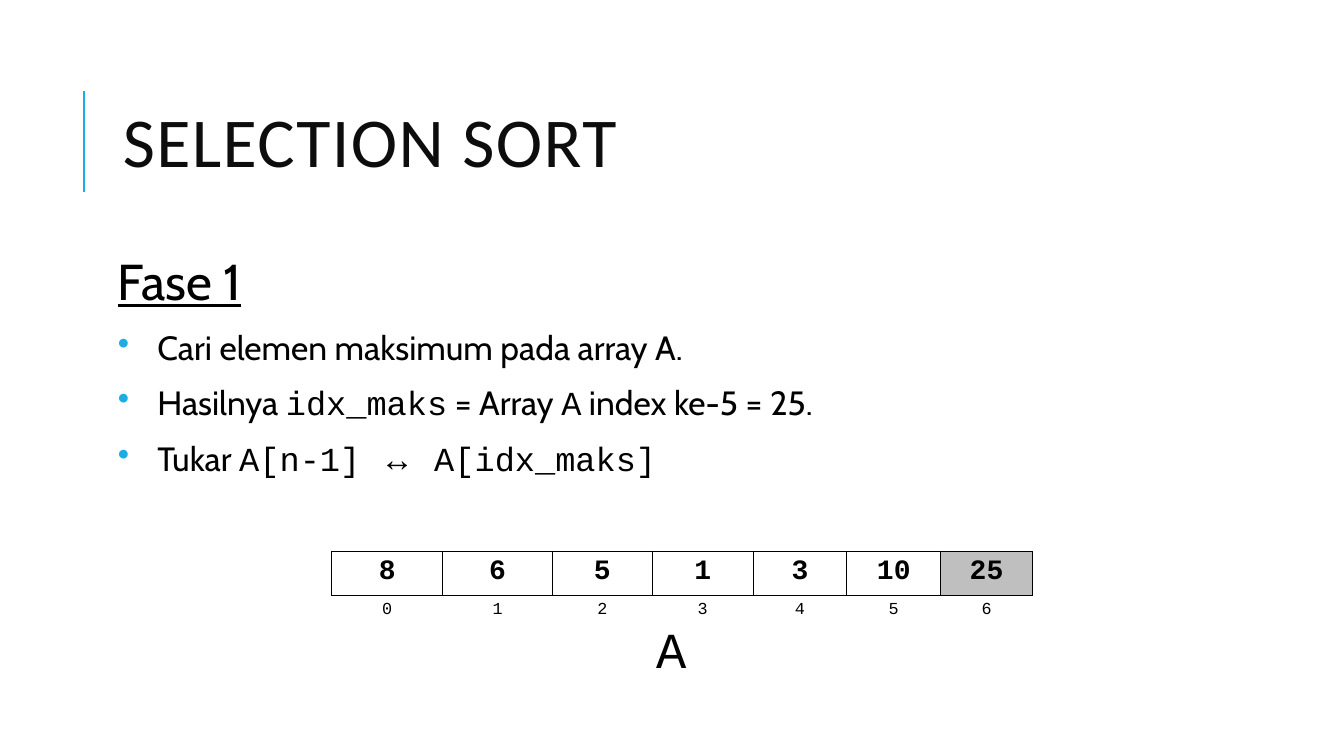
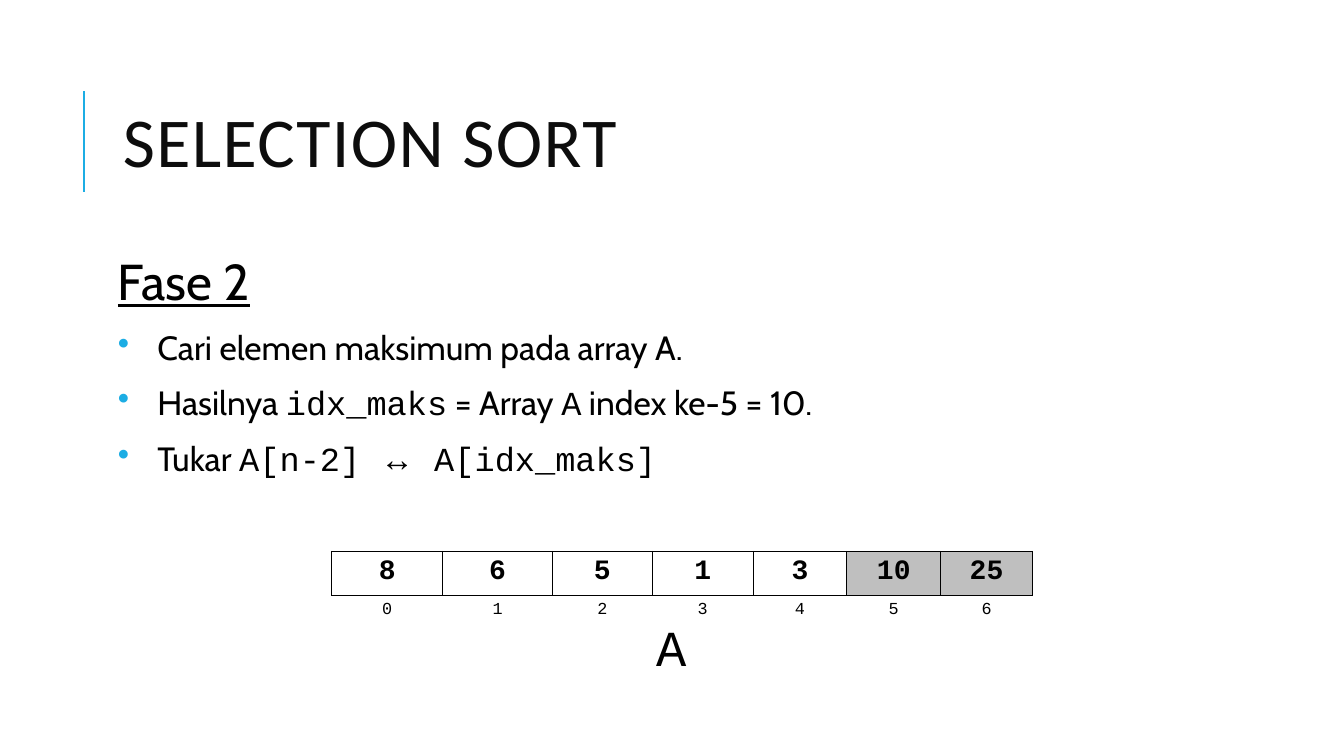
import pptx
import pptx.dml.color
import pptx.enum.shapes
import pptx.enum.text
import pptx.oxml.ns
import pptx.oxml.xmlchemy
import pptx.util
from lxml import etree

PX = 9144  # EMU per px, 100 px to the inch
BLACK, INK, ACCENT, SORTED = "000000", "0D0D0D", "1CADE4", "BFBFBF"
TITLE_FONT, BODY_FONT, CODE_FONT, SYMBOL_FONT = "Calibri", "Cabin", "Courier New", "Times New Roman"
VALUES = [8, 6, 5, 1, 3, 10, 25]
COLUMN_WIDTHS = [110, 109, 99, 100, 93, 93, 91]
ROW_HEIGHT = 42
BULLET_INDENT = 39


def px(length):
    return pptx.util.Emu(length * PX)


def rgb(value):
    return pptx.dml.color.RGBColor.from_string(value)


def add_xml(parent, tag, **attributes):
    return etree.SubElement(parent, pptx.oxml.ns.qn(tag), **attributes)


def style(paragraph, size, color=BLACK, name=None):
    font = paragraph.font
    font.size = pptx.util.Pt(size)
    font.color.rgb = rgb(color)
    if name:
        font.name = name


def add_text_frame(slide, box, wrap=True):
    frame = slide.shapes.add_textbox(*map(px, box)).text_frame
    frame.word_wrap = wrap
    return frame


def add_title(slide, box, text):
    """Title with the accent rule to its left."""
    left, top, _, _ = box
    rule = slide.shapes.add_connector(
        pptx.enum.shapes.MSO_CONNECTOR.STRAIGHT,
        px(left - 29), px(top + 126), px(left - 29), px(top + 26))
    rule.line.color.rgb = rgb(ACCENT)
    rule.line.width = pptx.util.Pt(1.5)
    add_xml(rule._element.spPr, "a:effectLst")

    frame = add_text_frame(slide, box)
    frame.vertical_anchor = pptx.enum.text.MSO_ANCHOR.MIDDLE
    heading = frame.paragraphs[0]
    heading.text = text
    heading.line_spacing = 0.8
    style(heading, 50, INK, TITLE_FONT)
    heading._p.get_or_add_pPr().get_or_add_defRPr().set("spc", "100")


def add_bullet(paragraph):
    properties = paragraph._p.get_or_add_pPr()
    properties.set("marL", str(px(BULLET_INDENT)))
    properties.set("indent", str(px(-BULLET_INDENT)))
    add_xml(add_xml(properties, "a:buClr"), "a:srgbClr", val=ACCENT)
    add_xml(properties, "a:buChar", char="•")


def add_steps(slide, box, heading_text, steps):
    """Underlined heading, then bullets made of (text, font) runs."""
    frame = add_text_frame(slide, box)
    frame.margin_left = frame.margin_right = px(5)
    frame.margin_top = frame.margin_bottom = px(5)
    heading = frame.paragraphs[0]
    heading.text = heading_text
    style(heading, 36, name=BODY_FONT)
    heading.font.underline = True
    for runs in steps:
        step = frame.add_paragraph()
        step.space_before = pptx.util.Pt(12)
        add_bullet(step)
        style(step, 24)
        for text, font_name in runs:
            run = step.add_run()
            run.text = text
            run.font.name = font_name
    for paragraph in frame.paragraphs:
        paragraph.line_spacing = 0.9
        paragraph.space_after = pptx.util.Pt(2)


def set_borders(cell, visible_sides):
    properties = cell._tc.get_or_add_tcPr()
    for side in "LRTB":
        border = add_xml(properties, f"a:ln{side}", w=str(pptx.util.Pt(1)))
        if side in visible_sides:
            add_xml(add_xml(border, "a:solidFill"), "a:srgbClr", val=BLACK)
        else:
            add_xml(border, "a:noFill")


def fill_cell(cell, text, size, bold, borders, fill=None):
    set_borders(cell, borders)
    if fill:
        cell.fill.solid()
        cell.fill.fore_color.rgb = rgb(fill)
    else:
        cell.fill.background()
    paragraph = cell.text_frame.paragraphs[0]
    paragraph.text = str(text)
    paragraph.alignment = pptx.enum.text.PP_ALIGN.CENTER
    style(paragraph, size, name=CODE_FONT)
    paragraph.font.bold = bold


def add_array(slide, left, top, values, sorted_count):
    """Array values over their indexes; the sorted tail is shaded."""
    table = slide.shapes.add_table(
        2, len(values), px(left), px(top),
        px(sum(COLUMN_WIDTHS)), px(2 * ROW_HEIGHT)).table
    table.first_row = table.horz_banding = False
    for row in table.rows:
        row.height = px(ROW_HEIGHT)
    first_sorted = len(values) - sorted_count
    for index, (value, width) in enumerate(zip(values, COLUMN_WIDTHS)):
        table.columns[index].width = px(width)
        shade = SORTED if index >= first_sorted else None
        fill_cell(table.cell(0, index), value, 20, True, "LRTB", shade)
        fill_cell(table.cell(1, index), index, 12, False, "T")


def add_array_name(slide, box, text):
    frame = add_text_frame(slide, box, wrap=False)
    frame.auto_size = pptx.enum.text.MSO_AUTO_SIZE.SHAPE_TO_FIT_TEXT
    frame.paragraphs[0].text = text
    style(frame.paragraphs[0], 36, name=CODE_FONT)


def add_phase_slide(deck, phase, maximum, name_top):
    slide = deck.slides.add_slide(deck.slide_layouts[6])
    add_title(slide, (112, 64, 1063, 164), "SELECTION SORT")
    steps = [
        [("Cari elemen maksimum pada array A.", BODY_FONT)],
        [("Hasilnya ", BODY_FONT), ("idx_maks", CODE_FONT), (" = Array ", BODY_FONT),
         ("A", CODE_FONT), (f" index ke-5 = {maximum}.", BODY_FONT)],
        [("Tukar ", BODY_FONT), (f"A[n-{phase}] ", CODE_FONT),
         ("↔", SYMBOL_FONT), (" A[idx_maks]", CODE_FONT)],
    ]
    add_steps(slide, (112, 250, 1063, 275), f"Fase {phase}", steps)
    add_array(slide, 329, 547, VALUES, sorted_count=phase)
    add_array_name(slide, (641, name_top, 51, 71), "A")


def main():
    deck = pptx.Presentation()
    deck.slide_width, deck.slide_height = px(1333), px(750)
    add_phase_slide(deck, phase=1, maximum=25, name_top=608)
    add_phase_slide(deck, phase=2, maximum=10, name_top=606)
    deck.save("out.pptx")


if __name__ == "__main__":
    main()
